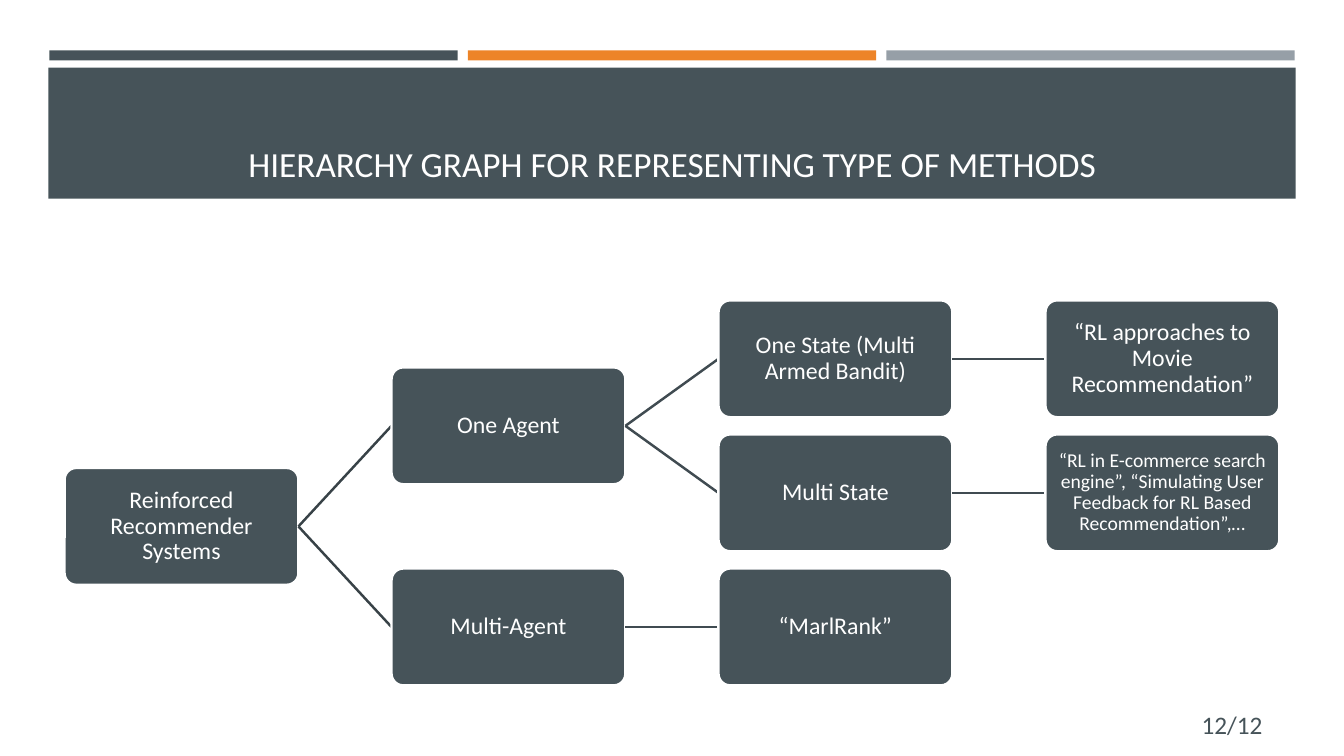
"""Build a slide with a hierarchy of reinforced recommender methods."""
from lxml import etree
from pptx import Presentation
from pptx.dml.color import RGBColor
from pptx.enum.shapes import MSO_CONNECTOR, MSO_SHAPE
from pptx.enum.text import MSO_ANCHOR, PP_ALIGN
from pptx.oxml.ns import qn
from pptx.util import Inches, Pt

RECT = MSO_SHAPE.RECTANGLE
ROUND = MSO_SHAPE.ROUNDED_RECTANGLE
STRAIGHT = MSO_CONNECTOR.STRAIGHT
MIDDLE, BOTTOM = MSO_ANCHOR.MIDDLE, MSO_ANCHOR.BOTTOM
LEFT, CENTER = PP_ALIGN.LEFT, PP_ALIGN.CENTER

SLATE = RGBColor(0x46, 0x53, 0x59)
ORANGE = RGBColor(0xED, 0x84, 0x28)
GRAY = RGBColor(0x96, 0x9F, 0xA7)
DARK = RGBColor(0x38, 0x42, 0x47)
MID = RGBColor(0x40, 0x4B, 0x51)
WHITE = RGBColor(0xFF, 0xFF, 0xFF)

deck = Presentation()
deck.slide_width, deck.slide_height = Inches(13.33), Inches(7.5)
slide = deck.slides.add_slide(deck.slide_layouts[6])
shapes = slide.shapes


def add_box(kind, left, top, width, height, fill):
    box = shapes.add_shape(kind, Inches(left), Inches(top), Inches(width), Inches(height))
    box.shadow.inherit = False
    box.fill.solid()
    box.fill.fore_color.rgb = fill
    box.line.fill.background()
    return box


def set_text(shape, text, size, color, align, anchor):
    frame = shape.text_frame
    frame.text = text
    frame.vertical_anchor = anchor
    para = frame.paragraphs[0]
    para.alignment = align
    font = para.runs[0].font
    font.name, font.size, font.color.rgb = "Calibri", Pt(size), color
    return frame


for i, color in enumerate([SLATE, ORANGE, GRAY]):
    add_box(RECT, 0.49 + 4.15 * i, 0.5, 4.05, 0.1, color)
add_box(RECT, 0.48, 0.67, 12.37, 1.3, SLATE)

title = shapes.add_textbox(Inches(0.64), Inches(0.77), Inches(12.06), Inches(1.11))
frame = set_text(title, "HIERARCHY GRAPH FOR REPRESENTING TYPE OF METHODS",
                 25.2, WHITE, CENTER, BOTTOM)
frame.word_wrap = True

WIDTH, HEIGHT = 2.32, 1.16
nodes = [
    ("Reinforced Recommender Systems", 0, 1.25, None, 17),
    ("One Agent", 1, 0.5, 0, 17),
    ("One State (Multi Armed Bandit)", 2, 0, 1, 17),
    ("“RL approaches to Movie Recommendation”", 3, 0, 2, 17),
    ("Multi State", 2, 1, 1, 17),
    ("“RL in E-commerce search engine”, “Simulating User Feedback for RL Based "
     "Recommendation”,…", 3, 1, 4, 14),
    ("Multi-Agent", 1, 2, 0, 17),
    ("“MarlRank”", 2, 2, 6, 17),
]
spots = [(0.64 + 3.243 * col, 2.98 + 1.33 * row) for _, col, row, _, _ in nodes]

for (text, col, row, parent, size), (left, top) in zip(nodes, spots):
    if parent is not None:
        start, rise = spots[parent]
        link = shapes.add_connector(
            STRAIGHT, Inches(start + WIDTH), Inches(rise + HEIGHT / 2),
            Inches(left), Inches(top + HEIGHT / 2))
        link.line.color.rgb = DARK if parent == 0 else MID
        link.line.width = Pt(1.75)
        etree.SubElement(link.element.spPr, qn("a:effectLst"))
    node = add_box(ROUND, left, top, WIDTH, HEIGHT, SLATE)
    node.adjustments[0] = 0.1
    node.line.color.rgb = WHITE
    node.line.width = Pt(1.75)
    frame = set_text(node, text, size, WHITE, CENTER, MIDDLE)
    frame.word_wrap = True
    frame.margin_left = frame.margin_right = Inches(0.01)
    frame.margin_top = frame.margin_bottom = Inches(0.01)
    frame.paragraphs[0].line_spacing = 0.9

page = shapes.add_textbox(Inches(11.82), Inches(6.99), Inches(0.87), Inches(0.4))
frame = set_text(page, "12/12", 18, SLATE, LEFT, MSO_ANCHOR.TOP)
frame.word_wrap = False

deck.save("out.pptx")
